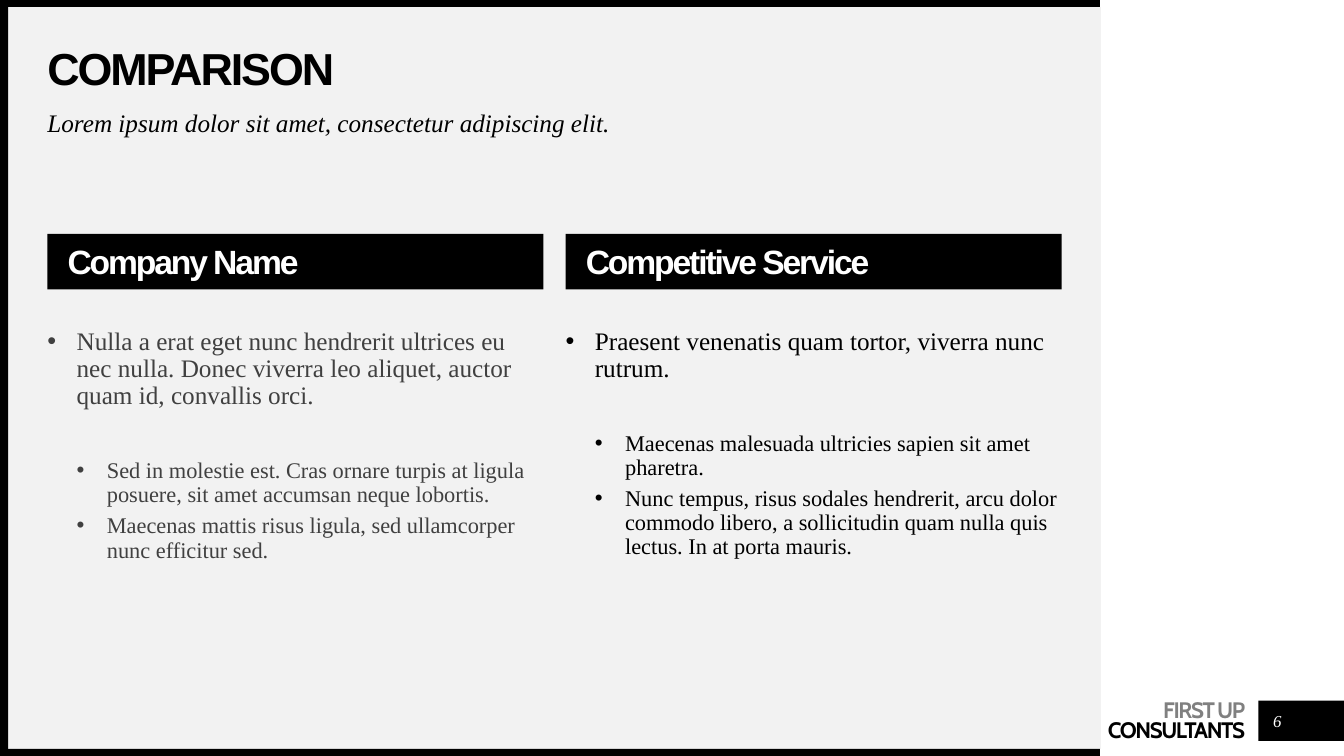
import pptx
import pptx.dml.color
import pptx.enum.shapes
import pptx.enum.text
import pptx.oxml.ns
import pptx.util
from lxml import etree

Inches = pptx.util.Inches
Pt = pptx.util.Pt
ALIGN = pptx.enum.text.PP_ALIGN
MIDDLE = pptx.enum.text.MSO_ANCHOR.MIDDLE

COLOURS = {"black": "000000", "white": "FFFFFF", "panel": "F2F2F2",
           "grey": "808080", "dark": "404040"}
SERIF = "Times New Roman"
LEFT, COLUMN_WIDTH, COLUMN_STEP = 0.47, 4.92, 5.14
SUB_GAP = 35  # points between the lead bullet and its sub-bullets

COLUMNS = [
    ("Company Name", "dark",
     "Nulla a erat eget nunc hendrerit ultrices eu nec nulla. "
     "Donec viverra leo aliquet, auctor quam id, convallis orci.",
     ["Sed in molestie est. Cras ornare turpis at ligula posuere, "
      "sit amet accumsan neque lobortis.",
      "Maecenas mattis risus ligula, sed ullamcorper nunc efficitur sed."]),
    ("Competitive Service", "black",
     "Praesent venenatis quam tortor, viverra nunc rutrum.",
     ["Maecenas malesuada ultricies sapien sit amet pharetra.",
      "Nunc tempus, risus sodales hendrerit, arcu dolor commodo libero, "
      "a sollicitudin quam nulla quis lectus. In at porta mauris."]),
]


def rgb(name):
    return pptx.dml.color.RGBColor.from_string(COLOURS[name])


def apply(target, values):
    for name, value in values.items():
        setattr(target, name, value)


def add_bar(page, place, colour):
    bar = page.shapes.add_shape(pptx.enum.shapes.MSO_SHAPE.RECTANGLE,
                                *map(Inches, place))
    bar.shadow.inherit = False
    bar.fill.solid()
    bar.fill.fore_color.rgb = rgb(colour)
    bar.line.fill.background()
    return bar


def set_frame(shape, left=0, top=0, **values):
    frame = shape.text_frame
    apply(frame, {"word_wrap": True, "margin_left": Inches(left),
                  "margin_top": Inches(top), "margin_right": 0,
                  "margin_bottom": 0, **values})
    return frame


def add_text_box(page, place, **values):
    return set_frame(page.shapes.add_textbox(*map(Inches, place)), **values)


def add_bullet(para, margin, hang):
    properties = para._p.get_or_add_pPr()
    properties.set("marL", str(Inches(margin)))
    properties.set("indent", str(-Inches(hang)))
    tag = pptx.oxml.ns.qn
    etree.SubElement(properties, tag("a:buFont")).set("typeface", "Arial")
    etree.SubElement(properties, tag("a:buChar")).set("char", "•")


def write(frame, text, size, font, colour, bullet=None, spacing=None,
          layout=None, **style):
    """Fill the first paragraph, or add one after those already filled."""
    para = frame.paragraphs[0] if not frame.text else frame.add_paragraph()
    if bullet:
        add_bullet(para, *bullet)
    apply(para, {"alignment": ALIGN.LEFT, "line_spacing": 0.9,
                 **(layout or {})})
    span = para.add_run()
    span.text = text
    apply(span.font, {"size": Pt(size), "name": font, **style})
    span.font.color.rgb = rgb(colour)
    if spacing:
        span._r.get_or_add_rPr().set("spc", str(int(spacing * 100)))


def add_frame_parts(page):
    # Panel, its black edges and the block behind the page number
    add_bar(page, (0.08, 0.07, 10.84, 7.36), "panel")
    add_bar(page, (12.48, 6.95, 0.85, 0.4), "black")
    for top in (0, 7.43):
        add_bar(page, (0, top, 10.91, 0.07), "black")
    add_bar(page, (0, 0, 0.08, 7.5), "black")

    # Company name
    frame = add_text_box(page, (10.53, 6.94, 1.82, 0.44), top=0.04)
    for text, colour in (("FIRST UP", "grey"), ("CONSULTANTS", "black")):
        write(frame, text, 16, "Cabin", colour, spacing=-1, bold=True,
              layout={"alignment": ALIGN.RIGHT, "line_spacing": Pt(14)})

    # Page number
    frame = add_text_box(page, (12.52, 7, 0.3, 0.3), vertical_anchor=MIDDLE)
    write(frame, "6", 12, SERIF, "white", italic=True,
          layout={"alignment": ALIGN.CENTER, "line_spacing": 1.0})


def add_column(page, left, heading, colour, lead, details):
    bar = add_bar(page, (left, 2.32, COLUMN_WIDTH, 0.55), "black")
    frame = set_frame(bar, left=0.2, top=0.04, vertical_anchor=MIDDLE)
    write(frame, heading, 24, "Arial", "white", spacing=-1.5, bold=True)

    frame = add_text_box(page, (left, 3.26, COLUMN_WIDTH, 2.76))
    write(frame, lead, 18, SERIF, colour, bullet=(0.29, 0.29))
    for index, detail in enumerate(details):
        gap = 5 if index else SUB_GAP
        write(frame, detail, 16, SERIF, colour, bullet=(0.59, 0.3),
              layout={"level": 1, "space_before": Pt(gap)})


def main():
    deck = pptx.Presentation()
    deck.slide_width, deck.slide_height = Inches(13.33), Inches(7.5)
    page = deck.slides.add_slide(deck.slide_layouts[6])

    add_frame_parts(page)

    # Title and subtitle
    frame = add_text_box(page, (LEFT, 0.47, 10.06, 0.47),
                         vertical_anchor=MIDDLE)
    write(frame, "COMPARISON", 32, "Arial", "black", spacing=-1.5, bold=True)
    frame = add_text_box(page, (LEFT, 1.1, 10.06, 0.39))
    write(frame, "Lorem ipsum dolor sit amet, consectetur adipiscing elit.",
          18, SERIF, "black", italic=True)

    # Two compared columns
    for index, column in enumerate(COLUMNS):
        add_column(page, LEFT + index * COLUMN_STEP, *column)

    deck.save("out.pptx")


if __name__ == "__main__":
    main()
